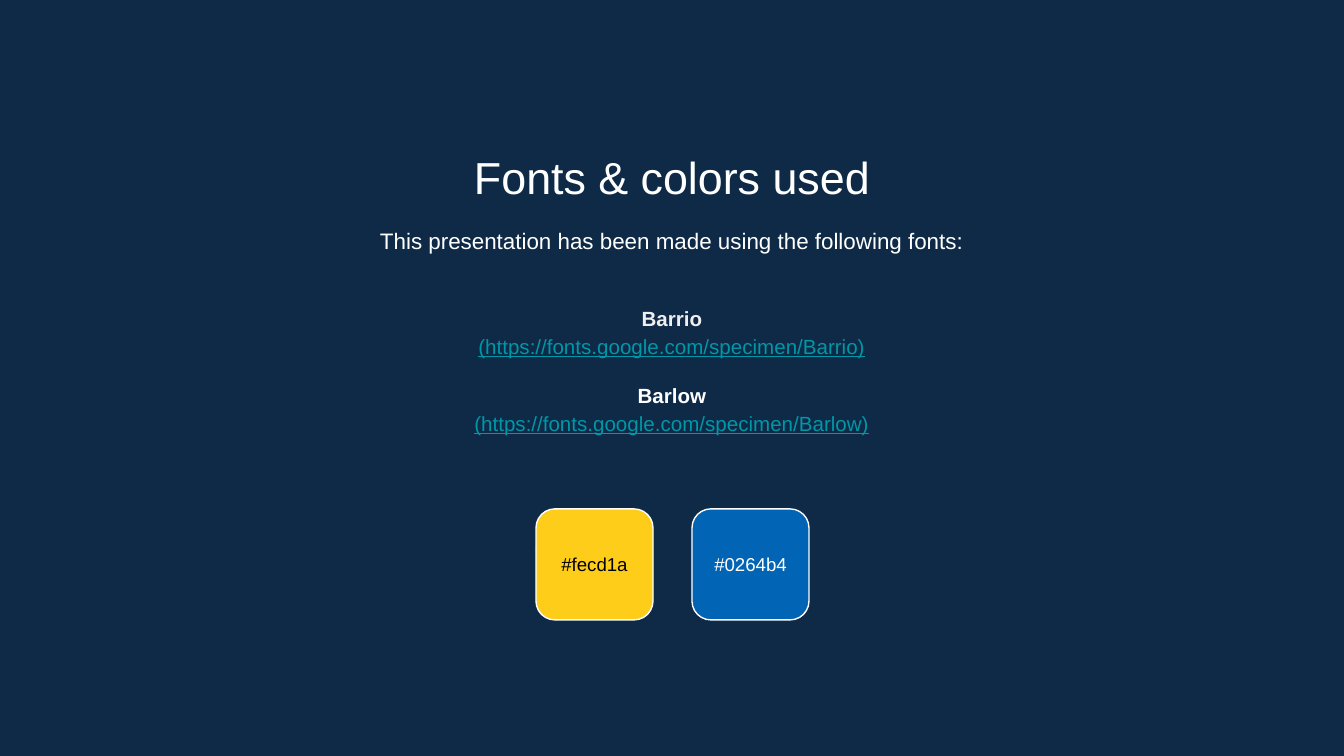
import dataclasses

import pptx
import pptx.dml.color
import pptx.enum.shapes
import pptx.enum.text
import pptx.util

PX = 914400 / 134.4
ANCHOR = pptx.enum.text.MSO_ANCHOR
TWO_CONTENT_LAYOUT = 3


@dataclasses.dataclass(frozen=True)
class Theme:
    font: str = "Arial"
    background: str = "0E2A47"
    white: str = "FFFFFF"
    black: str = "000000"
    soft_white: str = "EFEFEF"
    link: str = "0097A7"
    yellow: str = "FECD1A"
    blue: str = "0264B4"
    title_size: int = 24
    intro_size: int = 12
    font_list_size: int = 11
    swatch_size: int = 10


THEME = Theme()


def px(length):
    return pptx.util.Emu(round(length * PX))


def rgb(value):
    return pptx.dml.color.RGBColor.from_string(value)


def paint(fill, color):
    fill.solid()
    fill.fore_color.rgb = rgb(color)


def place(shape, left, top, width, height):
    shape.left, shape.top = px(left), px(top)
    shape.width, shape.height = px(width), px(height)


def prepare_frame(frame, anchor):
    frame.word_wrap = True
    frame.auto_size = pptx.enum.text.MSO_AUTO_SIZE.NONE
    frame.vertical_anchor = anchor
    frame.margin_left = frame.margin_right = pptx.util.Inches(0.1)
    frame.margin_top = frame.margin_bottom = pptx.util.Inches(0.1)


def write(paragraph, text, size, color, bold=False, underline=False):
    paragraph.text = text
    paragraph.alignment = pptx.enum.text.PP_ALIGN.CENTER
    font = paragraph.font
    font.name = THEME.font
    font.size = pptx.util.Pt(size)
    font.bold = bold
    font.underline = underline
    font.color.rgb = rgb(color)


def write_body_line(paragraph, text, size, color, gap=0, **style):
    """Write a centred line without the bullet and indent of the layout."""
    properties = paragraph._p.get_or_add_pPr()
    properties.set("marL", "0")
    properties.set("indent", "0")
    properties.append(pptx.oxml.parse_xml(
        f'<a:buNone {pptx.oxml.ns.nsdecls("a")}/>'))
    paragraph.line_spacing = 1.15
    paragraph.space_before = pptx.util.Pt(gap)
    write(paragraph, text, size, color, **style)


def fill_title(title, text):
    place(title, 154, 136, 1036, 71)
    prepare_frame(title.text_frame, ANCHOR.TOP)
    write(title.text_frame.paragraphs[0], text, THEME.title_size, THEME.white)


def fill_intro(body, text):
    place(body, 154, 210, 1036, 65)
    prepare_frame(body.text_frame, ANCHOR.TOP)
    write_body_line(body.text_frame.paragraphs[0], text,
                    THEME.intro_size, THEME.white)


def fill_font_list(body, fonts):
    """List each font name in bold with its address below."""
    place(body, 154, 277, 1036, 184)
    frame = body.text_frame
    prepare_frame(frame, ANCHOR.MIDDLE)
    for index, (name, color) in enumerate(fonts):
        heading = frame.add_paragraph() if index else frame.paragraphs[0]
        write_body_line(heading, name, THEME.font_list_size, color,
                        gap=11 if index else 0, bold=True)
        write_body_line(frame.add_paragraph(),
                        f"(https://fonts.google.com/specimen/{name})",
                        THEME.font_list_size, THEME.link, underline=True)


def add_swatch(slide, left, color, label_color):
    swatch = slide.shapes.add_shape(
        pptx.enum.shapes.MSO_SHAPE.ROUNDED_RECTANGLE,
        px(left), px(509), px(117), px(111))
    swatch.adjustments[0] = 0.17
    swatch.shadow.inherit = False
    paint(swatch.fill, color)
    paint(swatch.line.fill, THEME.white)
    swatch.line.width = pptx.util.Pt(0.75)
    prepare_frame(swatch.text_frame, ANCHOR.MIDDLE)
    write(swatch.text_frame.paragraphs[0], f"#{color.lower()}",
          THEME.swatch_size, label_color)


def main():
    deck = pptx.Presentation()
    deck.slide_width, deck.slide_height = px(1344), px(756)
    slide = deck.slides.add_slide(deck.slide_layouts[TWO_CONTENT_LAYOUT])
    paint(slide.background.fill, THEME.background)

    title, intro, font_list = slide.placeholders
    fill_title(title, "Fonts & colors used")
    fill_intro(intro,
               "This presentation has been made using the following fonts:")
    fill_font_list(font_list, [("Barrio", THEME.soft_white),
                               ("Barlow", THEME.white)])

    swatches = [(THEME.yellow, THEME.black), (THEME.blue, THEME.white)]
    for column, (color, label_color) in enumerate(swatches):
        add_swatch(slide, 536 + 156 * column, color, label_color)

    deck.save("out.pptx")


if __name__ == "__main__":
    main()
